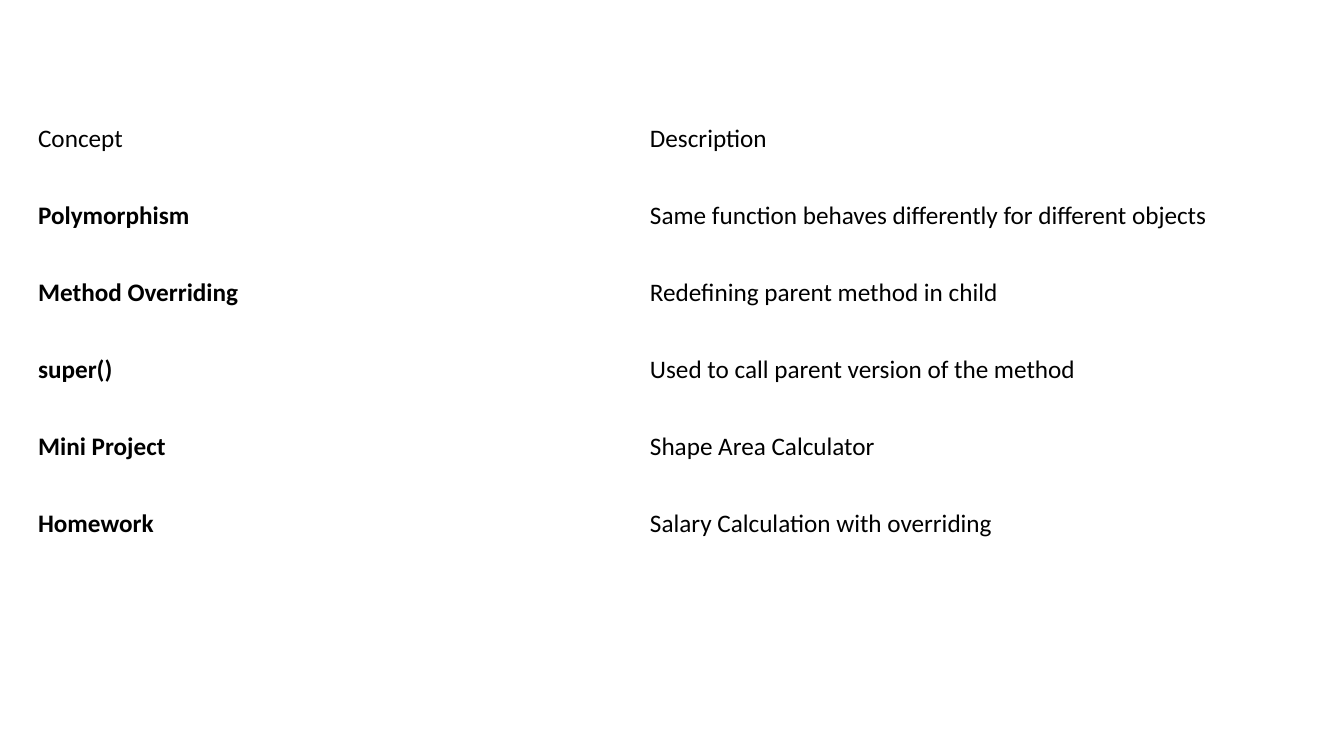
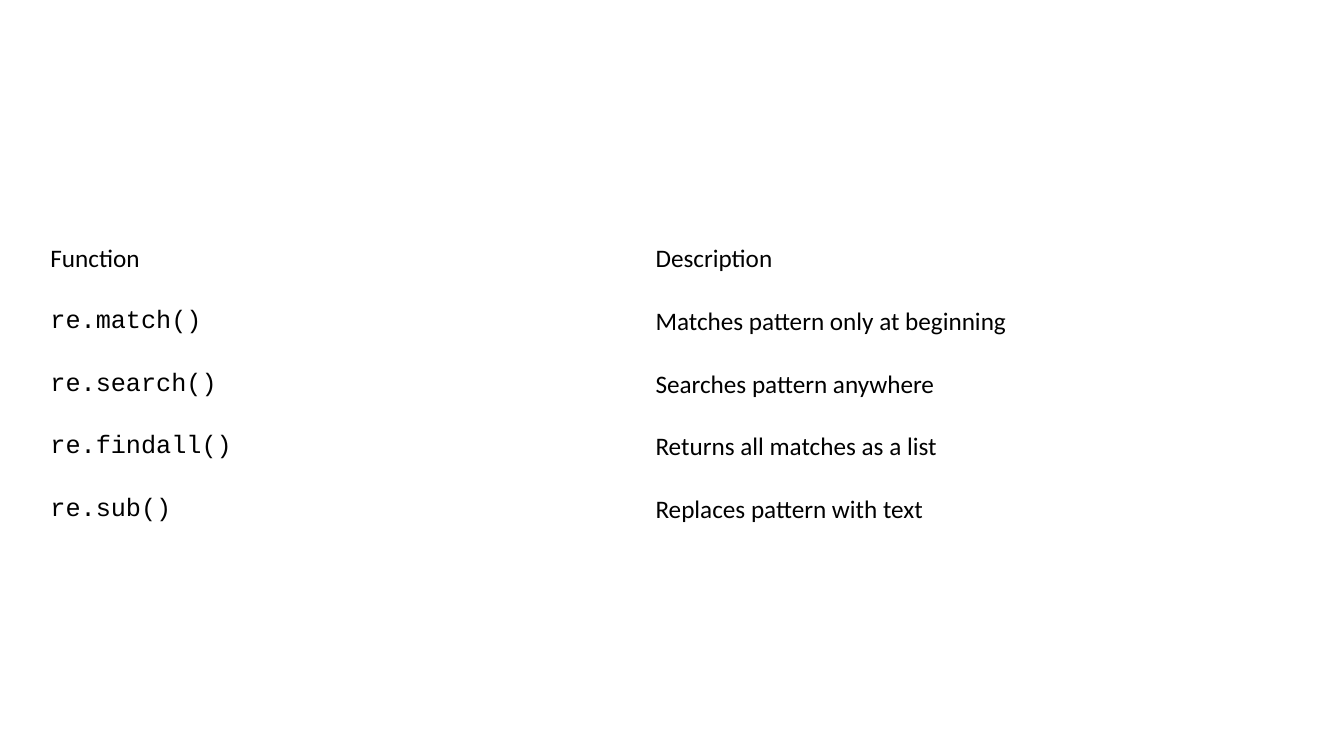
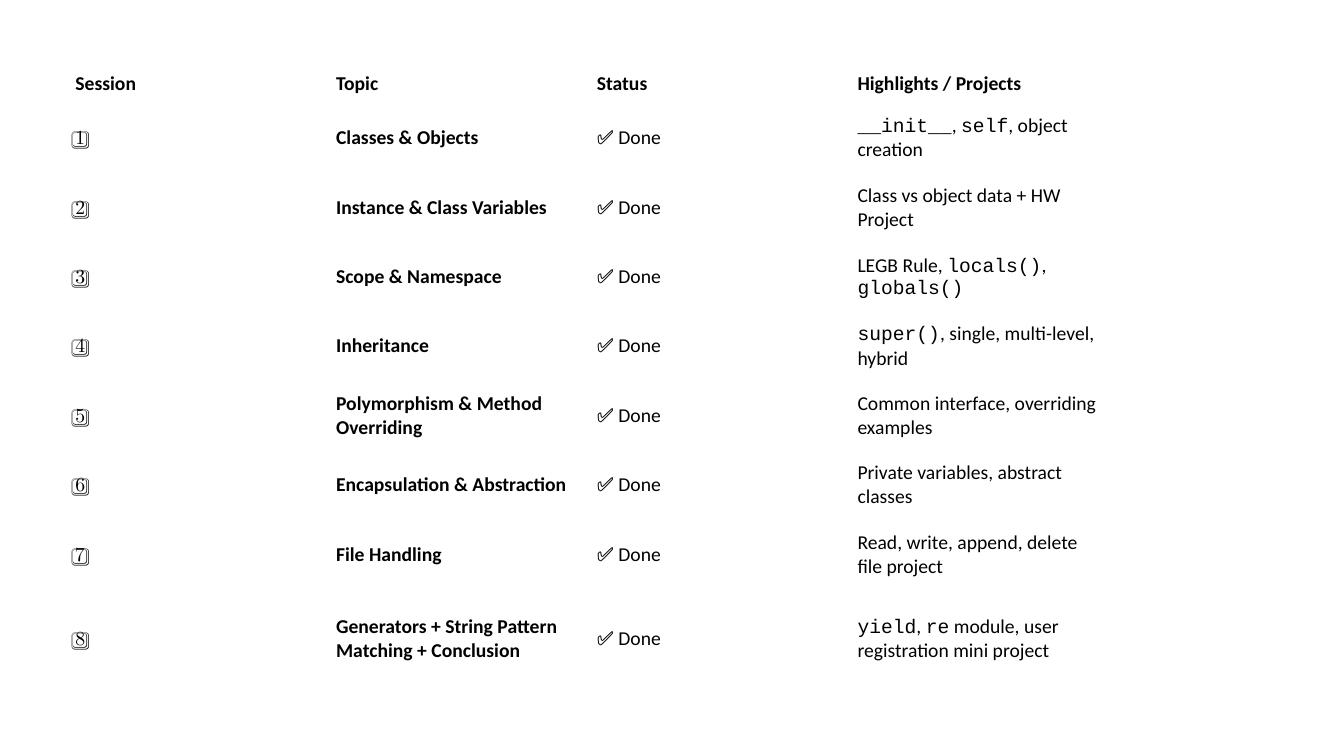
from pptx import Presentation
from pptx.dml.color import RGBColor
from pptx.enum import text
from pptx.util import Cm, Pt

BLACK = RGBColor(0, 0, 0)
BODY_FONT = "Calibri"
CODE_FONT = "Courier New"
BLANK_LAYOUT = 6

# Text between backticks is set in the code font.
CONCEPTS = [
    ("Concept", "Description"),
    ("Polymorphism", "Same function behaves differently for different objects"),
    ("Method Overriding", "Redefining parent method in child"),
    ("super()", "Used to call parent version of the method"),
    ("Mini Project", "Shape Area Calculator"),
    ("Homework", "Salary Calculation with overriding"),
]

FUNCTIONS = [
    ("Function", "Description"),
    ("`re.match()`", "Matches pattern only at beginning"),
    ("`re.search()`", "Searches pattern anywhere"),
    ("`re.findall()`", "Returns all matches as a list"),
    ("`re.sub()`", "Replaces pattern with text"),
]

TOPICS = [
    ("Classes & Objects", "`__init__`, `self`, object creation"),
    ("Instance & Class Variables", "Class vs object data + HW Project"),
    ("Scope & Namespace", "LEGB Rule, `locals()`, `globals()`"),
    ("Inheritance", "`super()`, single, multi-level, hybrid"),
    ("Polymorphism & Method Overriding", "Common interface, overriding examples"),
    ("Encapsulation & Abstraction", "Private variables, abstract classes"),
    ("File Handling", "Read, write, append, delete file project"),
    ("Generators + String Pattern Matching + Conclusion",
     "`yield`, `re` module, user registration mini project"),
]
SESSIONS = [("Session", "Topic", "Status", "Highlights / Projects")] + [
    (f"{number}️⃣", topic, "✅ Done", highlights)
    for number, (topic, highlights) in enumerate(TOPICS, 1)
]

# Lengths are in centimetres.
TABLES = [
    dict(rows=CONCEPTS, left=0.71, top=2.52, col_width=15.42,
         heights=[1.94] * 6, bold_col=0),
    dict(rows=FUNCTIONS, left=1.02, top=5.74, col_width=15.25,
         heights=[1.58] * 5),
    dict(rows=SESSIONS, left=1.7, top=1.6, col_width=6.57,
         heights=[1] + [1.75] * 7 + [2.49], size=14, bold_col=1,
         bold_header=True, margins=(0.2, 0.1)),
]


def write(tf, content, size, bold):
    p = tf.paragraphs[0]
    for i, part in enumerate(content.split("`")):
        if part:
            r = p.add_run()
            r.text = part
            r.font.name = CODE_FONT if i % 2 else BODY_FONT
            r.font.size = Pt(size)
            r.font.bold = bold
            r.font.color.rgb = BLACK


def add_plain_table(slide, rows, left, top, col_width, heights, size=18,
                    bold_col=None, bold_header=False, margins=(0.25, 0.13)):
    """Add a table without fills or banding; margins are (side, top/bottom)."""
    n_cols = len(rows[0])
    table = slide.shapes.add_table(
        len(rows), n_cols, Cm(left), Cm(top),
        Cm(col_width * n_cols), Cm(sum(heights))).table
    table.first_row = table.horz_banding = False
    for column in table.columns:
        column.width = Cm(col_width)
    for y, (row, height) in enumerate(zip(rows, heights)):
        table.rows[y].height = Cm(height)
        for x, content in enumerate(row):
            cell = table.cell(y, x)
            cell.fill.background()
            cell.vertical_anchor = text.MSO_ANCHOR.MIDDLE
            cell.margin_left = cell.margin_right = Cm(margins[0])
            cell.margin_top = cell.margin_bottom = Cm(margins[1])
            bold = bold_header if y == 0 else x == bold_col
            write(cell.text_frame, content, size, bold)


def main():
    prs = Presentation()
    prs.slide_width, prs.slide_height = Cm(33.87), Cm(19.05)
    for table in TABLES:
        slide = prs.slides.add_slide(prs.slide_layouts[BLANK_LAYOUT])
        add_plain_table(slide, **table)
    prs.save("out.pptx")


if __name__ == "__main__":
    main()
